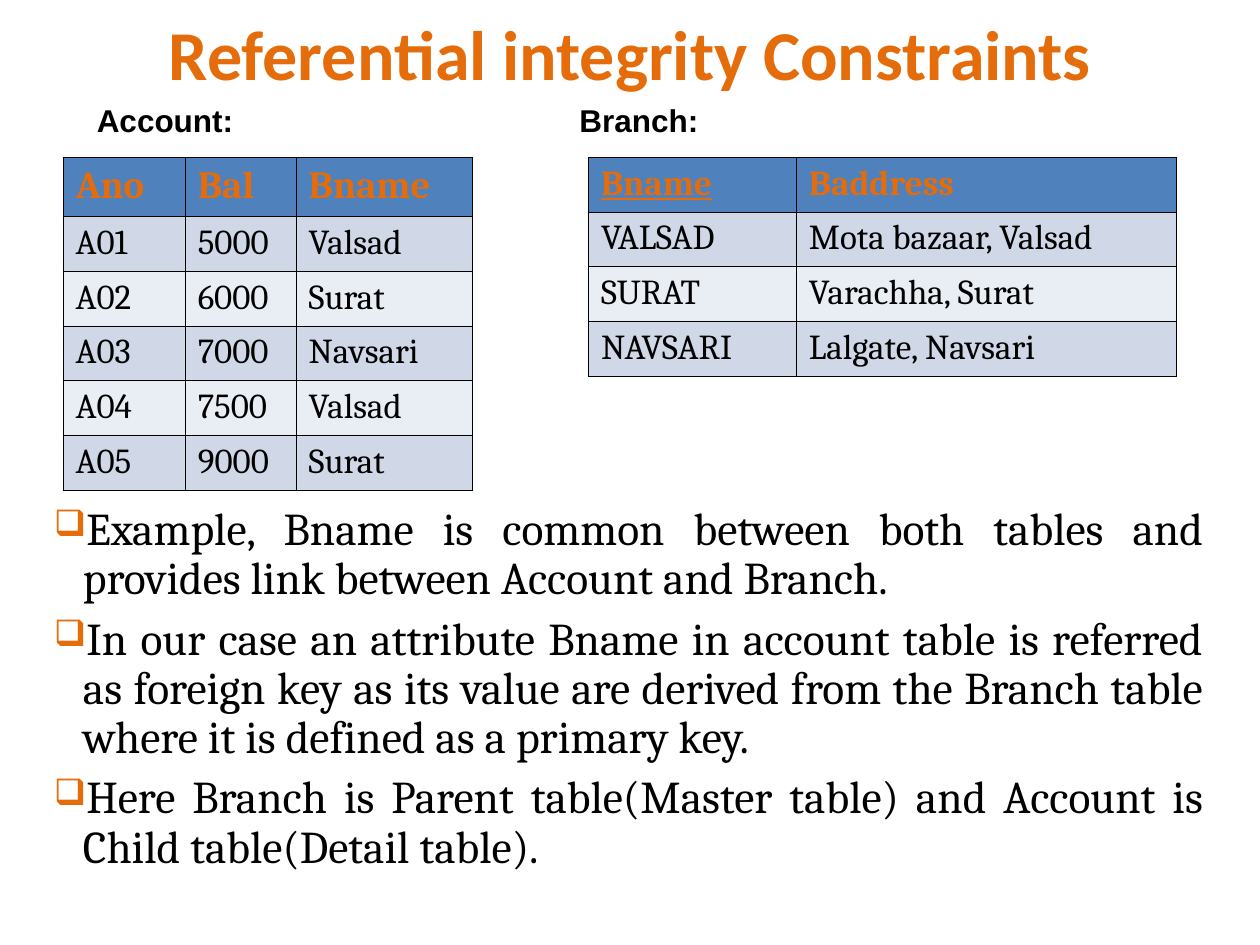
from lxml import etree
from pptx import Presentation
from pptx.dml.color import RGBColor
from pptx.enum import text
from pptx.oxml import parse_xml
from pptx.oxml.ns import nsdecls, qn
from pptx.util import Inches, Pt

ORANGE, BLACK = "E46C0A", "000000"
HEADER, BANDS = "4F81BD", ("D0D8E8", "E9EDF4")

ACCOUNT = [
    ("Ano", "Bal", "Bname"),
    ("A01", "5000", "Valsad"),
    ("A02", "6000", "Surat"),
    ("A03", "7000", "Navsari"),
    ("A04", "7500", "Valsad"),
    ("A05", "9000", "Surat"),
]
BRANCH = [
    ("Bname", "Baddress"),
    ("VALSAD", "Mota bazaar, Valsad"),
    ("SURAT", "Varachha, Surat"),
    ("NAVSARI", "Lalgate, Navsari"),
]
NOTES = [
    "Example, Bname is common between both tables and provides link between "
    "Account and Branch. ",
    "In our case an attribute Bname in account table is referred as foreign key "
    "as its value are derived from the Branch table where it is defined as a "
    "primary key.",
    "Here Branch is Parent table(Master table) and Account is Child table(Detail "
    "table).",
]


def rgb(value):
    return RGBColor.from_string(value)


def write(p, words, size, name, color=BLACK, **formats):
    r = p.add_run()
    r.text = words
    r.font.color.rgb = rgb(color)
    for key, value in dict(size=Pt(size), name=name, **formats).items():
        setattr(r.font, key, value)


def add_box(s, box, anchor=text.MSO_ANCHOR.TOP):
    tf = s.shapes.add_textbox(*map(Inches, box)).text_frame
    tf.word_wrap = True
    tf.vertical_anchor = anchor
    return tf


def add_title(s, box, words):
    p = add_box(s, box, text.MSO_ANCHOR.MIDDLE).paragraphs[0]
    p.alignment = text.PP_ALIGN.CENTER
    write(p, words, 40, "Calibri", ORANGE, bold=True)


def add_label(s, box, words):
    tf = add_box(s, box)
    tf.auto_size = text.MSO_AUTO_SIZE.SHAPE_TO_FIT_TEXT
    write(tf.paragraphs[0], words, 18, "Arial", bold=True)


def add_borders(cell):
    """Draw thin lines on all four sides; they must precede the cell's fill."""
    tcPr = cell._tc.get_or_add_tcPr()
    for i, side in enumerate(("lnL", "lnR", "lnT", "lnB")):
        tcPr.insert(i, parse_xml(
            f'<a:{side} {nsdecls("a")} w="{Pt(0.45)}"><a:solidFill>'
            f'<a:srgbClr val="{BLACK}"/></a:solidFill></a:{side}>'))


def add_grid(s, left, top, widths, rows, head_height, head_size, key=None):
    """Banded table; key is the header that is underlined as primary key."""
    heights = [head_height] + [0.433] * (len(rows) - 1)
    box = map(Inches, (left, top, sum(widths), sum(heights)))
    table = s.shapes.add_table(len(rows), len(widths), *box).table
    for column, width in zip(table.columns, widths):
        column.width = Inches(width)
    for i, (row, height) in enumerate(zip(rows, heights)):
        table.rows[i].height = Inches(height)
        for j, words in enumerate(row):
            cell = table.cell(i, j)
            cell.fill.solid()
            cell.fill.fore_color.rgb = rgb(BANDS[(i - 1) % 2] if i else HEADER)
            add_borders(cell)
            p = cell.text_frame.paragraphs[0]
            if i:
                write(p, words, 20, "Cambria", bold=False)
            else:
                write(p, words, head_size, "Cambria", ORANGE, bold=True,
                      underline=words == key)


def add_bullet(p):
    pPr = p._p.get_or_add_pPr()
    pPr.set("marL", str(Inches(0.23)))
    pPr.set("indent", str(-Inches(0.23)))
    color = etree.SubElement(pPr, qn("a:buClr"))
    etree.SubElement(color, qn("a:srgbClr"), val=ORANGE)
    etree.SubElement(pPr, qn("a:buSzPct"), val="80000")
    etree.SubElement(pPr, qn("a:buChar"), char="❑")


def add_notes(s, box, notes):
    tf = add_box(s, box)
    for i, words in enumerate(notes):
        p = tf.add_paragraph() if i else tf.paragraphs[0]
        layout = dict(alignment=text.PP_ALIGN.JUSTIFY, line_spacing=0.9,
                      space_before=Pt(6.5))
        for key, value in layout.items():
            setattr(p, key, value)
        add_bullet(p)
        write(p, words, 26, "Cambria")


def main():
    prs = Presentation()
    prs.slide_width, prs.slide_height = Inches(10), Inches(7.5)
    s = prs.slides.add_slide(prs.slide_layouts[6])
    add_title(s, (0.5, 0.17, 9, 0.5), "Referential integrity Constraints")
    add_notes(s, (0.33, 3.97, 9.33, 3.11), NOTES)
    add_grid(s, 0.5, 1.25, (0.97, 0.88, 1.4), ACCOUNT, 0.47, 22)
    add_grid(s, 4.67, 1.25, (1.65, 3.02), BRANCH, 0.433, 20, key="Bname")
    add_label(s, (0.67, 0.75, 2.5, 0.4), "Account:")
    add_label(s, (4.5, 0.75, 2.5, 0.4), "Branch:")
    prs.save("out.pptx")


if __name__ == "__main__":
    main()
